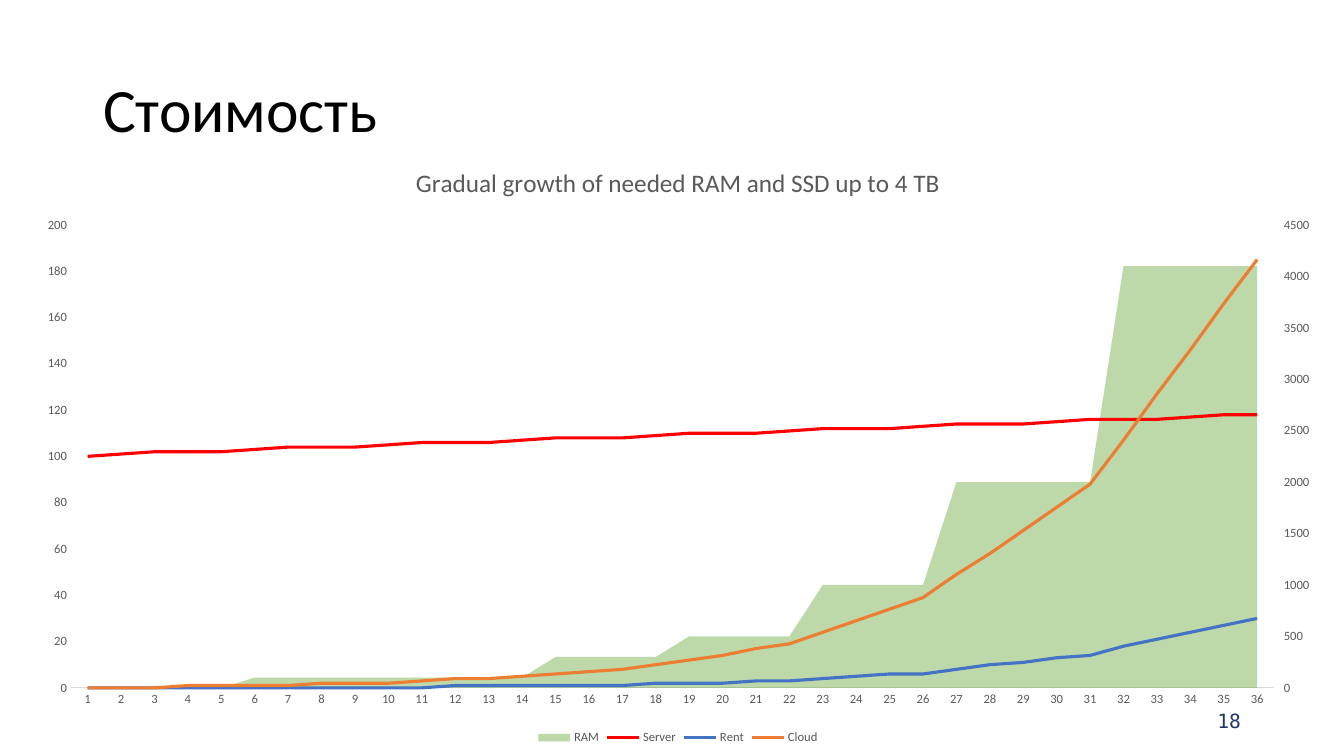
import copy
import dataclasses

import lxml.etree
import pptx
import pptx.chart.data
import pptx.dml.color
import pptx.enum.chart
import pptx.enum.text
import pptx.oxml.ns
import pptx.util

qn = pptx.oxml.ns.qn
Pt = pptx.util.Pt
EMU_PER_PX = 914400 / 100.8


@dataclasses.dataclass(frozen=True)
class Theme:
    font: str = "Calibri"
    number_font: str = "DejaVu Sans Mono"
    title: str = "000000"
    page_number: str = "203864"
    chart_text: str = "595959"
    grid: str = "D9D9D9"
    ram: str = "70AD47"
    title_size: int = 44
    page_number_size: int = 14
    chart_title_size: int = 18
    chart_size: int = 10
    label_size: int = 9
    ram_opacity: int = 46


THEME = Theme()

# (gigabytes, months at this level)
RAM_STEPS = [(0, 5), (100, 9), (300, 4), (500, 4), (1000, 4), (2000, 5), (4100, 5)]
RAM = [size for size, months in RAM_STEPS for _ in range(months)]
MONTHS = len(RAM)
COST_LINES = {
    "Server": ("FF0000", [round(100.5 + month / 2) for month in range(MONTHS)]),
    "Rent": ("4472C4", [0] * 11 + [1] * 6 + [2, 2, 2, 3, 3, 4, 5, 6, 6, 8, 10, 11,
                                             13, 14, 18, 21, 24, 27, 30]),
    "Cloud": ("ED7D31", [0, 0, 0, 1, 1, 1, 1, 2, 2, 2, 3, 4, 4, 5, 6, 7, 8, 10,
                         12, 14, 17, 19, 24, 29, 34, 39, 49, 58, 68, 78, 88,
                         107, 127, 146, 166, 185]),
}


def px(length):
    return pptx.util.Emu(round(length * EMU_PER_PX))


def rgb(color):
    return pptx.dml.color.RGBColor.from_string(color)


def set_font(font, size, color, name=THEME.font):
    font.size = Pt(size)
    font.name = name
    font.bold = False
    font.color.rgb = rgb(color)


def add_title(slide, box):
    title = slide.shapes.title
    title.left, title.top, title.width, title.height = map(px, box)
    frame = title.text_frame
    frame.text = "Стоимость"
    frame.vertical_anchor = pptx.enum.text.MSO_ANCHOR.MIDDLE
    heading = frame.paragraphs[0]
    heading.alignment = pptx.enum.text.PP_ALIGN.LEFT
    heading.line_spacing = 0.9
    set_font(heading.runs[0].font, THEME.title_size, THEME.title)


def add_page_number(slide, box):
    frame = slide.shapes.add_textbox(*map(px, box)).text_frame
    frame.word_wrap = True
    frame.vertical_anchor = pptx.enum.text.MSO_ANCHOR.MIDDLE
    number = frame.paragraphs[0]
    number.text = "18"
    number.alignment = pptx.enum.text.PP_ALIGN.RIGHT
    set_font(number.runs[0].font, THEME.page_number_size, THEME.page_number,
             THEME.number_font)


def split_off_cost_lines(plot_area):
    """Move all series but the first to a line plot with its own pair of axes."""
    area = plot_area.find(qn("c:areaChart"))
    lines = lxml.etree.Element(qn("c:lineChart"))
    area.addnext(lines)
    lxml.etree.SubElement(lines, qn("c:grouping"), val="standard")
    lxml.etree.SubElement(lines, qn("c:varyColors"), val="0")
    lines.extend(area.findall(qn("c:ser"))[1:])
    lxml.etree.SubElement(lines, qn("c:marker"), val="1")

    axes = [plot_area.find(qn(tag)) for tag in ("c:catAx", "c:valAx")]
    new_ids = {axis.find(qn("c:axId")).get("val"): str(9001 + index)
               for index, axis in enumerate(axes)}
    for new_id in new_ids.values():
        lxml.etree.SubElement(lines, qn("c:axId"), val=new_id)
    last = axes[-1]
    for axis in axes:
        twin = copy.deepcopy(axis)
        for tag in ("c:axId", "c:crossAx"):
            reference = twin.find(qn(tag))
            reference.set("val", new_ids[reference.get("val")])
        last.addnext(twin)
        last = twin


def format_axes(chart):
    """Give the costs the left axis and the memory the right one."""
    months, values = chart.category_axis, chart.value_axis
    for axis in (months, values):
        axis.major_tick_mark = pptx.enum.chart.XL_TICK_MARK.NONE
        axis.minor_tick_mark = pptx.enum.chart.XL_TICK_MARK.NONE
        set_font(axis.tick_labels.font, THEME.label_size, THEME.chart_text)
    months.has_major_gridlines = False
    months.format.line.color.rgb = rgb(THEME.grid)
    months.format.line.width = Pt(0.75)
    values.format.line.fill.background()
    values.minimum_scale, values.maximum_scale, values.major_unit = 0, 200, 20
    values.has_major_gridlines = True
    values.major_gridlines.format.line.color.rgb = rgb(THEME.grid)
    values.major_gridlines.format.line.width = Pt(0.75)

    plot_area = chart.element.find(".//" + qn("c:plotArea"))
    value_xml = plot_area.find(qn("c:valAx"))
    value_xml.find(qn("c:crossBetween")).set("val", "between")
    split_off_cost_lines(plot_area)

    months.visible = False
    months.crosses = pptx.enum.chart.XL_AXIS_CROSSES.MAXIMUM
    value_xml.find(qn("c:axPos")).set("val", "r")
    values.tick_label_position = pptx.enum.chart.XL_TICK_LABEL_POSITION.HIGH
    values.major_tick_mark = pptx.enum.chart.XL_TICK_MARK.OUTSIDE
    values.has_major_gridlines = False
    values.maximum_scale, values.major_unit = 4500, 500


def format_series(chart):
    memory, costs = chart.plots
    memory.vary_by_categories = False
    fill = memory.series[0].format.fill
    fill.solid()
    fill.fore_color.rgb = rgb(THEME.ram)
    color = chart.element.find(".//" + qn("c:ser")).find(".//" + qn("a:srgbClr"))
    lxml.etree.SubElement(color, qn("a:alpha"), val=str(THEME.ram_opacity * 1000))
    for cost in costs.series:
        cost.smooth = False
        cost.marker.style = pptx.enum.chart.XL_MARKER_STYLE.NONE
        cost.format.line.color.rgb = rgb(COST_LINES[cost.name][0])
        cost.format.line.width = Pt(2.25)


def place_plot(chart, box, plot):
    """Fix the inner plot area at plot, both boxes being on the slide."""
    plot_area = chart.element.find(".//" + qn("c:plotArea"))
    layout = plot_area.find(qn("c:layout"))
    if layout is None:
        layout = lxml.etree.Element(qn("c:layout"))
        plot_area.insert(0, layout)
    manual = lxml.etree.SubElement(layout, qn("c:manualLayout"))
    left, top, width, height = box
    settings = {
        "layoutTarget": "inner", "xMode": "edge", "yMode": "edge",
        "x": (plot[0] - left) / width, "y": (plot[1] - top) / height,
        "w": plot[2] / width, "h": plot[3] / height,
    }
    for tag, value in settings.items():
        lxml.etree.SubElement(manual, qn("c:" + tag), val=str(value))


def add_cost_chart(slide, box):
    chart_data = pptx.chart.data.CategoryChartData()
    chart_data.categories = [str(month + 1) for month in range(MONTHS)]
    chart_data.add_series("RAM", RAM)
    for name, (_, costs) in COST_LINES.items():
        chart_data.add_series(name, costs)
    chart = slide.shapes.add_chart(
        pptx.enum.chart.XL_CHART_TYPE.AREA, *map(px, box), chart_data).chart
    set_font(chart.font, THEME.chart_size, THEME.title)

    chart.has_title = True
    caption = chart.chart_title.text_frame.paragraphs[0]
    caption.text = "Gradual growth of needed RAM and SSD up to 4 TB"
    set_font(caption.runs[0].font, THEME.chart_title_size, THEME.chart_text)
    chart.has_legend = True
    chart.legend.position = pptx.enum.chart.XL_LEGEND_POSITION.BOTTOM
    chart.legend.include_in_layout = False
    set_font(chart.legend.font, THEME.label_size, THEME.chart_text)

    format_axes(chart)
    format_series(chart)
    left, top, width, height = box
    place_plot(chart, box, (left + 50, top + 82, width - 111, height - 143))
    background = lxml.etree.Element(qn("c:spPr"))
    lxml.etree.SubElement(background, qn("a:noFill"))
    border = lxml.etree.SubElement(background, qn("a:ln"))
    lxml.etree.SubElement(border, qn("a:noFill"))
    chart.element.find(qn("c:chart")).addnext(background)


def main():
    deck = pptx.Presentation()
    deck.slide_width, deck.slide_height = px(1344), px(756)
    slide = deck.slides.add_slide(deck.slide_layouts[5])
    add_title(slide, (93, 40, 1159, 146))
    add_page_number(slide, (950, 701, 301, 40))
    add_cost_chart(slide, (21, 143, 1314, 606))
    deck.save("out.pptx")


if __name__ == "__main__":
    main()
